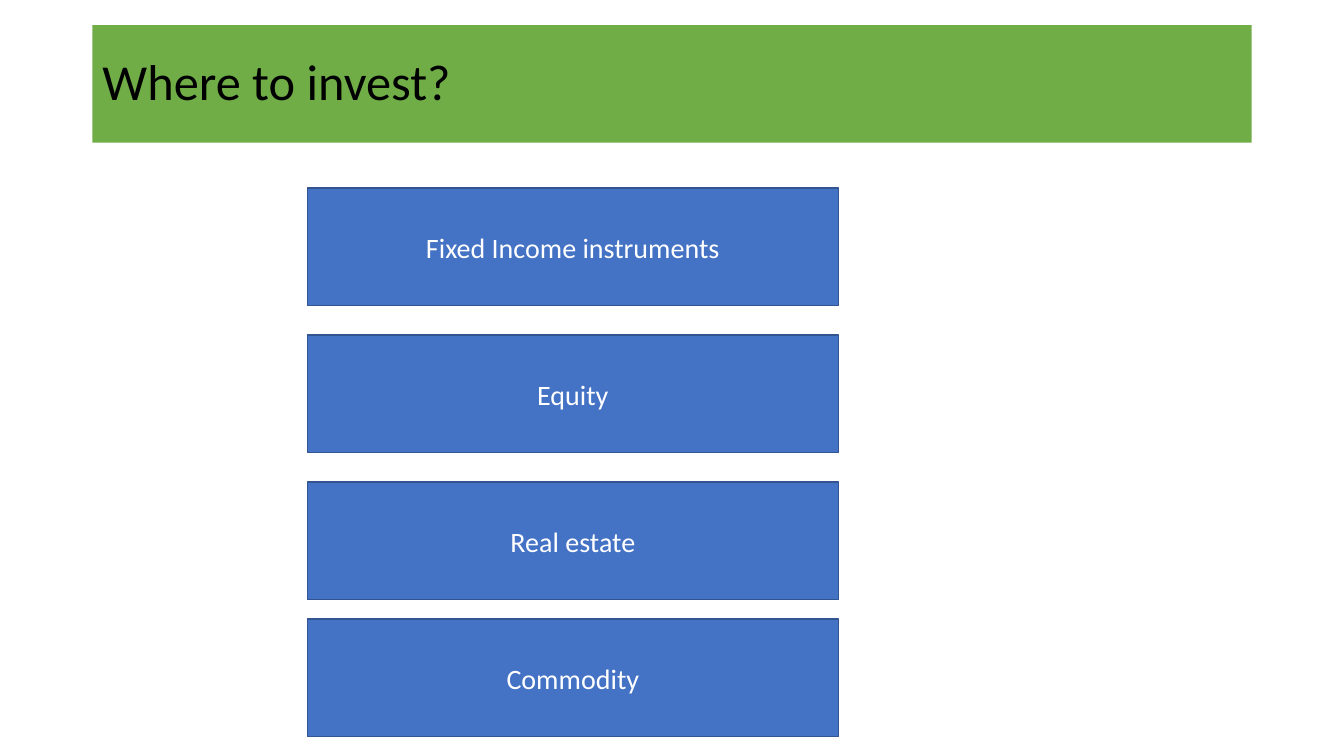
from pptx import Presentation
from pptx.dml.color import RGBColor
from pptx.enum.shapes import MSO_SHAPE
from pptx.enum.text import MSO_ANCHOR, MSO_AUTO_SIZE, PP_ALIGN
from pptx.util import Inches, Pt

RECTANGLE = MSO_SHAPE.RECTANGLE
MIDDLE = MSO_ANCHOR.MIDDLE
NO_AUTOFIT = MSO_AUTO_SIZE.NONE
LEFT, CENTER = PP_ALIGN.LEFT, PP_ALIGN.CENTER

COLORS = {
    "banner": "70AD47",
    "box": "4472C4",
    "outline": "325491",
    "title": "000000",
    "label": "FFFFFF",
}
FONT = "Calibri"
TITLE_ONLY = 5
COLUMNS, ROWS = 160, 90
BOX_HEIGHT = 14
BOX_LEFT, BOX_WIDTH = 36.6, 63.2
FIRST_TOP, PITCH, LAST_TOP = 22.4, 17.5, 73.7
ASSETS = ["Fixed Income instruments", "Equity", "Real estate", "Commodity"]


def color(name):
    return RGBColor.from_string(COLORS[name])


class InvestmentSlide:
    def __init__(self, deck):
        self.page = deck.slides.add_slide(deck.slide_layouts[TITLE_ONLY])
        self.column = deck.slide_width / COLUMNS
        self.row = deck.slide_height / ROWS

    def place(self, left, top, width, height):
        return (
            round(left * self.column),
            round(top * self.row),
            round(width * self.column),
            round(height * self.row),
        )

    def set_text(self, shape, text, size, ink, alignment):
        frame = shape.text_frame
        frame.text = text
        frame.word_wrap = True
        frame.auto_size = NO_AUTOFIT
        frame.vertical_anchor = MIDDLE
        para = frame.paragraphs[0]
        para.alignment = alignment
        para.font.name = FONT
        para.font.size = Pt(size)
        para.font.color.rgb = color(ink)
        return para

    def title(self, text, left, top, width, height):
        banner = self.page.shapes.title
        banner.left, banner.top, banner.width, banner.height = self.place(
            left, top, width, height
        )
        banner.fill.solid()
        banner.fill.fore_color.rgb = color("banner")
        para = self.set_text(banner, text, 36, "title", LEFT)
        para.line_spacing = 0.9

    def box(self, text, left, top, width, height):
        box = self.page.shapes.add_shape(
            RECTANGLE, *self.place(left, top, width, height)
        )
        box.shadow.inherit = False
        box.fill.solid()
        box.fill.fore_color.rgb = color("box")
        box.line.color.rgb = color("outline")
        box.line.width = Pt(1)
        self.set_text(box, text, 20, "label", CENTER)


def main():
    deck = Presentation()
    deck.slide_width, deck.slide_height = Inches(13.33), Inches(7.5)
    slide = InvestmentSlide(deck)
    slide.title("Where to invest?", 11, 3, 138, BOX_HEIGHT)
    tops = [FIRST_TOP + PITCH * index for index in range(len(ASSETS) - 1)]
    for asset, top in zip(ASSETS, tops + [LAST_TOP]):
        slide.box(asset, BOX_LEFT, top, BOX_WIDTH, BOX_HEIGHT)
    deck.save("out.pptx")


if __name__ == "__main__":
    main()
